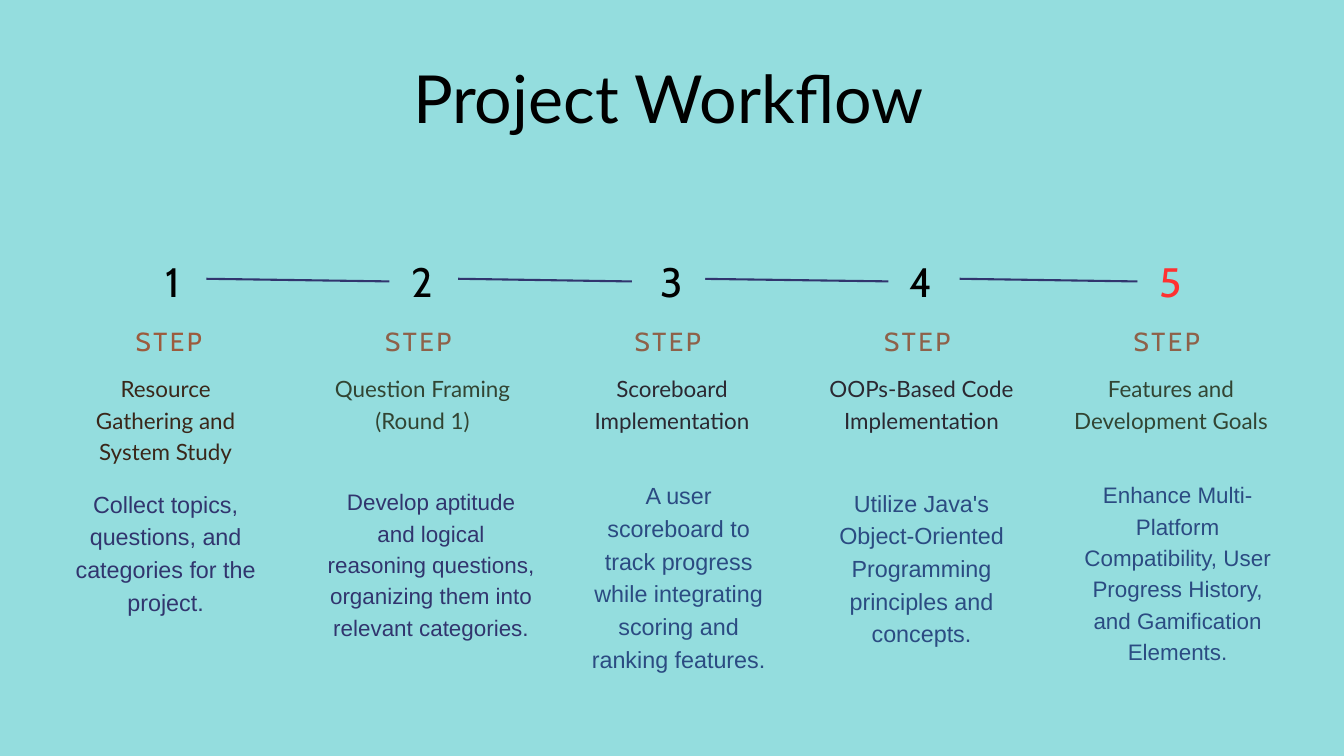
from dataclasses import dataclass

from lxml import etree
from pptx import Presentation
from pptx import util as u
from pptx.dml.color import RGBColor
from pptx.enum import shapes, text

HEX = {
    "aqua": "94DDDE", "navy": "31356E", "blue": "2B4B82", "black": "000000",
    "red": "FF3131", "rust": "9C5B3D", "brown": "8E6149", "umber": "3A271A",
    "green": "324533", "ink": "2B2831",
}
FIRST, PITCH, TILE = 6.54, 9.43, 2.51
FRAME = {
    "margin_left": 0, "margin_right": 0, "margin_top": 0, "margin_bottom": 0,
    "word_wrap": True,
}
GROW = text.MSO_AUTO_SIZE.SHAPE_TO_FIT_TEXT
FIXED = text.MSO_AUTO_SIZE.NONE
TOP = text.MSO_ANCHOR.TOP
MIDDLE = text.MSO_ANCHOR.MIDDLE


@dataclass
class Style:
    face: str
    size: float
    lead: float
    gap: int = 0


@dataclass
class Box:
    mid: float
    top: float
    width: float
    height: float


@dataclass
class Step:
    width: float
    label: str
    head: list[str]
    tone: str
    shift: float
    tall: float
    body: str
    hue: str
    size: int
    wide: float
    nudge: float
    top: float
    deep: float
    digit: str = "black"


@dataclass
class Link:
    start: float
    end: float


TITLE = Style("Lato", 71, 74.5)
DIGIT = Style("Cabin", 44, 61.6, 750)
LABEL = Style("Cabin", 28, 39.2, 280)
HEAD = Style("Lato", 24, 33.6)

STEPS = [
    Step(6.83, "rust", ["Resource Gathering and System Study"], "umber", -0.28, 3.58,
         "Collect topics, questions, and categories for the project.",
         "navy", 25, 6.83, -0.28, 18.34, 4.85),
    Step(6.68, "brown", ["Question Framing ", "(Round 1)"], "green", 0, 3.58,
         "Develop aptitude and logical reasoning questions, organizing them "
         "into relevant categories.",
         "navy", 24, 7.82, 0.32, 18.29, 5.82),
    Step(6.83, "brown", ["Scoreboard Implementation"], "ink", 0, 2.41,
         "A user scoreboard to track progress while integrating scoring and "
         "ranking features.",
         "blue", 25, 6.83, 0.25, 18.03, 6.07),
    Step(7.44, "brown", ["OOPs-Based Code Implementation"], "ink", 0, 2.41,
         "Utilize Java's Object-Oriented Programming principles and concepts.",
         "blue", 25, 7.44, 0, 18.31, 6.07),
    Step(7.85, "brown", ["Features and Development Goals"], "green", 0, 3.58,
         "Enhance Multi-Platform Compatibility, User Progress History, and "
         "Gamification Elements.",
         "blue", 24, 7.85, 0.25, 18.03, 5.82, "red"),
]
LINKS = [Link(7.8, 14.81), Link(17.32, 23.88), Link(26.39, 33.76), Link(36.27, 43)]


def paint(name: str) -> RGBColor:
    return RGBColor.from_string(HEX[name])


def place(box: Box) -> list[u.Cm]:
    left = box.mid - box.width / 2
    return [u.Cm(n) for n in (left, box.top, box.width, box.height)]


def write(shape, lines: list[str], style: Style, hue: str,
          anchor=TOP, fit=GROW) -> None:
    frame = shape.text_frame
    for key, val in {**FRAME, "vertical_anchor": anchor, "auto_size": fit}.items():
        setattr(frame, key, val)
    for i, line in enumerate(lines):
        para = frame.add_paragraph() if i else frame.paragraphs[0]
        para.alignment = text.PP_ALIGN.CENTER
        para.line_spacing = u.Pt(style.lead)
        run = para.add_run()
        run.text = line
        look = {"name": style.face, "size": u.Pt(style.size), "bold": False}
        for key, val in look.items():
            setattr(run.font, key, val)
        run.font.color.rgb = paint(hue)
        if style.gap:
            run._r.get_or_add_rPr().set("spc", str(style.gap))


def note(slide, box: Box, lines: list[str], style: Style, hue: str,
         anchor=TOP, fit=GROW) -> None:
    write(slide.shapes.add_textbox(*place(box)), lines, style, hue, anchor, fit)


def join(slide, link: Link) -> None:
    line = slide.shapes.add_connector(
        shapes.MSO_CONNECTOR.STRAIGHT,
        u.Cm(link.start), u.Cm(10.54), u.Cm(link.end), u.Cm(10.64))
    line.line.color.rgb = paint("navy")
    line.line.width = u.Pt(2.25)
    props = line._element.spPr
    etree.SubElement(props, props.tag.replace("}spPr", "}effectLst").replace(
        "presentationml", "drawingml").replace("2006/main", "2006/main"))


def tile(slide, mid: float) -> None:
    shape = slide.shapes.add_shape(
        shapes.MSO_SHAPE.RECTANGLE, *place(Box(mid, 9.37, TILE, 2.45)))
    shape.shadow.inherit = False
    shape.fill.solid()
    shape.fill.fore_color.rgb = paint("aqua")
    shape.line.fill.background()


def draw(slide, i: int, step: Step) -> None:
    mid = FIRST + i * PITCH
    if i:
        tile(slide, mid)
    note(slide, Box(mid, 9.14, TILE, 2.69), [str(i + 1)], DIGIT, step.digit,
         MIDDLE, FIXED)
    note(slide, Box(mid, 12.1, step.width, 1.33), ["STEP "], LABEL, step.label)
    note(slide, Box(mid + step.shift, 14.02, step.width, step.tall),
         step.head, HEAD, step.tone)
    note(slide, Box(mid + step.nudge, step.top, step.wide, step.deep),
         [step.body], Style("Arial", step.size, step.size * 1.4), step.hue)


def main() -> None:
    deck = Presentation()
    deck.slide_width, deck.slide_height = u.Cm(50.8), u.Cm(28.58)
    slide = deck.slides.add_slide(deck.slide_layouts[5])
    slide.background.fill.solid()
    slide.background.fill.fore_color.rgb = paint("aqua")

    title = slide.shapes.title
    spot = place(Box(25.26, 2.54, 44.83, 2.77))
    for key, val in zip(("left", "top", "width", "height"), spot):
        setattr(title, key, val)
    write(title, ["Project Workflow"], TITLE, "black")

    for link in LINKS:
        join(slide, link)
    for i, step in enumerate(STEPS):
        draw(slide, i, step)
    deck.save("out.pptx")


if __name__ == "__main__":
    main()
